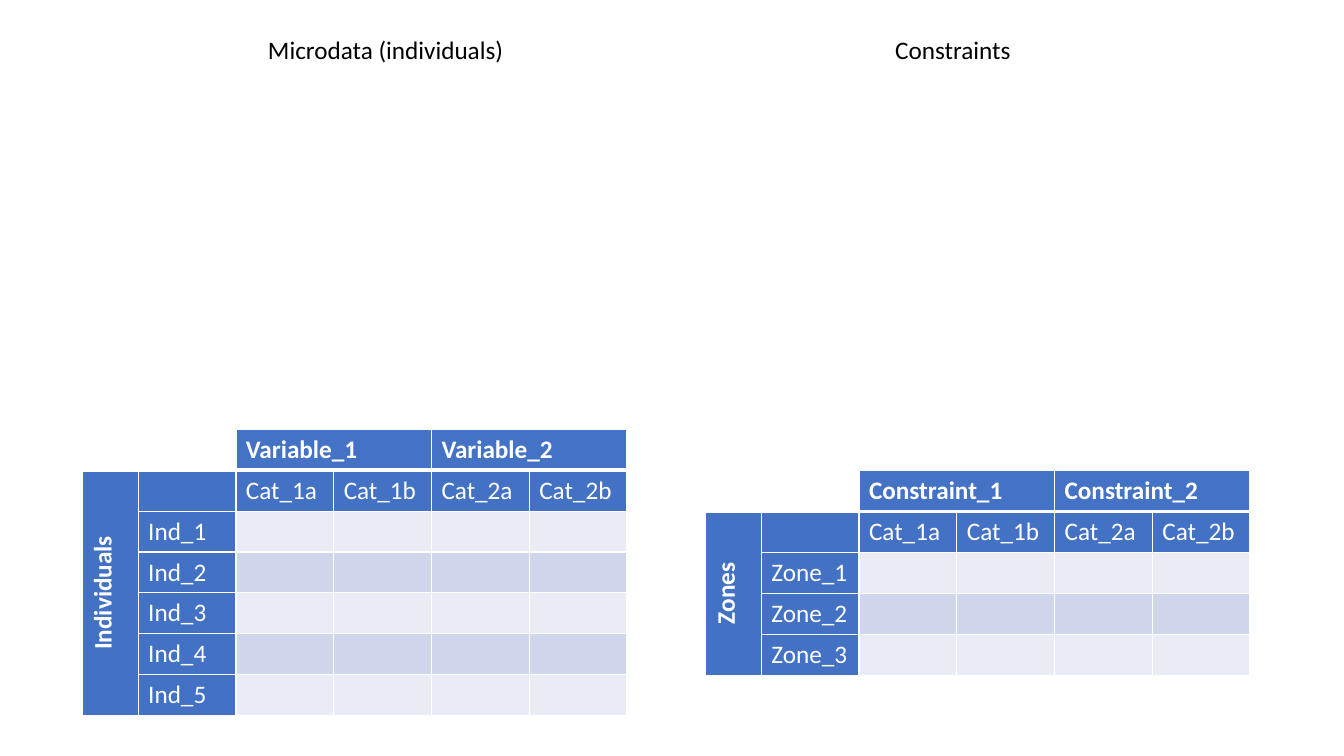
from dataclasses import dataclass
from lxml import etree
from pptx import Presentation, util as u
from pptx.dml.color import RGBColor
from pptx.enum import text as t
from pptx.oxml.ns import qn


@dataclass(frozen=True)
class Theme:
    font: str = "Calibri"
    size: int = 18
    ink: str = "000000"
    pale: str = "FFFFFF"
    head: str = "4472C4"
    side: str = "4372C4"
    bands: tuple[str, str] = ("E9EBF5", "CFD5EA")
    thin: int = 1
    thick: int = 3


@dataclass(frozen=True)
class Grid:
    left: float
    top: float
    group: str
    stem: str
    count: int
    heads: tuple[str, str]


@dataclass(frozen=True)
class Label:
    left: float
    words: str


LOOK = Theme()
WIDE, HIGH = 13.33, 7.5
ROW = 2.84 / 7
COLS = (0.55,) + (0.97,) * 5
CATS = ("Cat_1a", "Cat_1b", "Cat_2a", "Cat_2b")
LABELS = (Label(8.78, "Constraints"), Label(2.56, "Microdata (individuals)"))
GRIDS = (
    Grid(7, 4.67, "Zones", "Zone", 3, ("Constraint_1", "Constraint_2")),
    Grid(0.82, 4.26, "Individuals", "Ind", 5, ("Variable_1", "Variable_2")),
)


def write(frame, words: str, color: str, bold: bool = False) -> None:
    line = frame.paragraphs[0]
    line.text = words
    form = {"name": LOOK.font, "size": u.Pt(LOOK.size), "bold": bold}
    for key, value in form.items():
        setattr(line.font, key, value)
    line.font.color.rgb = RGBColor.from_string(color)


def border(cell, row: int) -> None:
    props = cell._tc.get_or_add_tcPr()
    heavy = {0: "lnB", 1: "lnT"}.get(row)
    for side in ("lnL", "lnR", "lnT", "lnB"):
        width = LOOK.thick if side == heavy else LOOK.thin
        edge = etree.SubElement(props, qn(f"a:{side}"), w=str(u.Pt(width)))
        fill = etree.SubElement(edge, qn("a:solidFill"))
        etree.SubElement(fill, qn("a:srgbClr"), val=LOOK.pale)


def paint(cell, row: int, col: int) -> None:
    border(cell, row)
    if row == 0 and col < 2:
        cell.fill.background()
        return
    if row == 0:
        color = LOOK.head
    elif row == 1 or col < 2:
        color = LOOK.side
    else:
        color = LOOK.bands[row % 2]
    cell.fill.solid()
    cell.fill.fore_color.rgb = RGBColor.from_string(color)


def words(grid: Grid, row: int, col: int) -> str:
    if row == 0:
        return {2: grid.heads[0], 4: grid.heads[1]}.get(col, "")
    if col == 0:
        return grid.group if row == 1 else ""
    if row == 1:
        return CATS[col - 2] if col > 1 else ""
    return f"{grid.stem}_{row - 1}" if col == 1 else ""


def draw(slide, grid: Grid) -> None:
    rows = grid.count + 2
    box = (grid.left, grid.top, sum(COLS), rows * ROW)
    table = slide.shapes.add_table(rows, len(COLS), *map(u.Inches, box)).table
    for col, width in zip(table.columns, COLS):
        col.width = u.Inches(width)
    for row in table.rows:
        row.height = u.Inches(ROW)
    for row in range(rows):
        for col in range(len(COLS)):
            cell = table.cell(row, col)
            paint(cell, row, col)
            bold = row == 0 or col == 0
            write(cell.text_frame, words(grid, row, col), LOOK.pale, bold)
    for col in (2, 4):
        table.cell(0, col).merge(table.cell(0, col + 1))
    group = table.cell(1, 0)
    group.merge(table.cell(rows - 1, 0))
    group.vertical_anchor = t.MSO_ANCHOR.MIDDLE
    group.text_frame.paragraphs[0].alignment = t.PP_ALIGN.CENTER
    group._tc.get_or_add_tcPr().set("vert", "vert270")


def name(slide, label: Label) -> None:
    box = (label.left, 0.29, 3.86, 0.4)
    frame = slide.shapes.add_textbox(*map(u.Inches, box)).text_frame
    form = {"word_wrap": True, "auto_size": t.MSO_AUTO_SIZE.SHAPE_TO_FIT_TEXT}
    for key, value in form.items():
        setattr(frame, key, value)
    write(frame, label.words, LOOK.ink)


def main() -> None:
    deck = Presentation()
    deck.slide_width, deck.slide_height = u.Inches(WIDE), u.Inches(HIGH)
    slide = deck.slides.add_slide(deck.slide_layouts[6])
    for label in LABELS:
        name(slide, label)
    for grid in GRIDS:
        draw(slide, grid)
    deck.save("out.pptx")


main()
